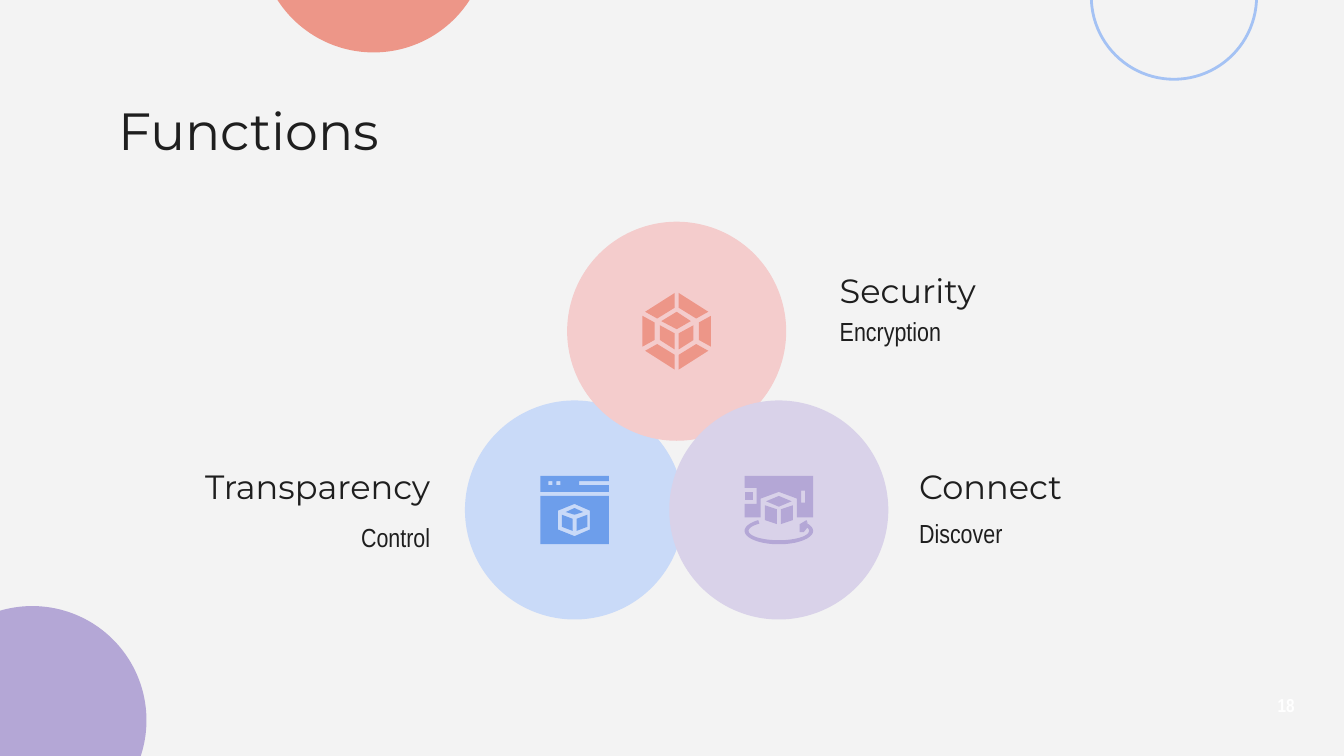
from math import cos, radians, sin

from pptx import Presentation
from pptx.dml.color import RGBColor as RGB
from pptx.enum.shapes import MSO_SHAPE as Shape
from pptx.enum.text import MSO_ANCHOR as Anchor, PP_ALIGN as Align
from pptx.util import Inches, Pt

PAPER = RGB(0xF3, 0xF3, 0xF3)
INK = RGB(0x1E, 0x1E, 0x1E)
WHITE = RGB(0xFF, 0xFF, 0xFF)
CORAL = RGB(0xED, 0x96, 0x88)
PURPLE = RGB(0xB4, 0xA7, 0xD6)
BLUE = RGB(0x6D, 0x9E, 0xEB)
SKY = RGB(0xA4, 0xC2, 0xF4)
PINK = RGB(0xF4, 0xCC, 0xCC)
LILAC = RGB(0xD9, 0xD2, 0xE9)
PALE = RGB(0xC9, 0xDA, 0xF8)
HEAD = "Montserrat"
BODY = "Arial Narrow"


def add_disc(slide, left, top, size, fill=None, line=None):
    disc = slide.shapes.add_shape(
        Shape.OVAL, Inches(left), Inches(top), Inches(size), Inches(size))
    disc.shadow.inherit = False
    if fill:
        disc.fill.solid()
        disc.fill.fore_color.rgb = fill
    else:
        disc.fill.background()
    if line:
        disc.line.color.rgb = line
        disc.line.width = Pt(1.5)
    else:
        disc.line.fill.background()


def set_text(shape, text, size, face, color=INK, align=Align.LEFT, bold=False):
    frame = shape.text_frame
    frame.word_wrap = True
    frame.vertical_anchor = Anchor.MIDDLE
    frame.margin_left = frame.margin_right = Inches(0.1)
    frame.margin_top = frame.margin_bottom = Inches(0.1)
    para = frame.paragraphs[0]
    para.text = text
    para.alignment = align
    para.font.size = Pt(size)
    para.font.name = face
    para.font.bold = bold
    para.font.color.rgb = color


def add_text(slide, left, top, width, height, *style):
    box = slide.shapes.add_textbox(
        Inches(left), Inches(top), Inches(width), Inches(height))
    set_text(box, *style)


def add_label(slide, left, top, head, body, drop, height, align=Align.LEFT):
    add_text(slide, left, top, 2.4, 0.34, head, 18, HEAD, INK, align)
    add_text(slide, left, top + drop, 2.4, height, body, 14, BODY, INK, align)


def add_path(group, fill, *loops):
    """Draw closed loops as one outline; inner loops become holes."""
    loops = [[(Inches(x), Inches(y)) for x, y in loop] for loop in loops]
    pen = group.shapes.build_freeform(*loops[0][0])
    pen.add_line_segments(loops[0][1:])
    for loop in loops[1:]:
        pen.move_to(*loop[0])
        pen.add_line_segments(loop[1:])
    form = pen.convert_to_shape()
    form.shadow.inherit = False
    form.fill.solid()
    form.fill.fore_color.rgb = fill
    form.line.fill.background()


def add_pair(group, fill, mid, loop):
    """Draw a loop and its mirror image about x = mid."""
    add_path(group, fill, loop)
    add_path(group, fill, [(2 * mid - x, y) for x, y in loop])


def rect(left, top, right, low):
    return [(left, top), (right, top), (right, low), (left, low)]


def arc(mid, y, wide, high, start, end, steps=40):
    turns = [radians(start + (end - start) * i / steps)
             for i in range(steps + 1)]
    return [(mid + wide * cos(t), y + high * sin(t)) for t in turns]


def draw_gem(slide):
    group, mid = slide.shapes.add_group_shape(), 5.035
    for loop in (
        [(5.05, 2.18), (5.05, 2.29), (5.18, 2.37), (5.27, 2.32)],
        [(5.16, 2.42), (5.05, 2.48), (5.05, 2.6), (5.16, 2.53)],
        [(5.29, 2.35), (5.2, 2.4), (5.2, 2.53), (5.29, 2.58)],
        [(5.18, 2.56), (5.05, 2.64), (5.05, 2.75), (5.27, 2.61)],
    ):
        add_pair(group, CORAL, mid, loop)
    add_path(group, CORAL,
             [(mid, 2.32), (4.92, 2.39), (mid, 2.45), (5.14, 2.39)])


def draw_orbit(slide):
    group, mid = slide.shapes.add_group_shape(), 5.795
    add_path(group, PURPLE, rect(5.54, 3.66, 5.6, 3.72))
    # Ring with an arrow tip
    tip = [(6.01, 3.89), (6, 3.87), (5.95, 3.9), (5.95, 3.96), (5.98, 3.96)]
    add_path(group, PURPLE, tip
             + arc(mid, 3.95, 0.225, 0.07, -20, 230)
             + arc(mid, 3.95, 0.255, 0.1, 233, -40))
    # Cube
    add_path(group, PURPLE,
             [(mid, 3.69), (5.7, 3.73), (mid, 3.77), (5.89, 3.73)])
    add_pair(group, PURPLE, mid,
             [(5.69, 3.76), (5.69, 3.87), (5.78, 3.9), (5.78, 3.79)])
    # Panel with notches
    add_path(group, PURPLE,
             [(5.54, 3.54), (5.54, 3.63), (5.63, 3.63), (5.63, 3.75),
              (5.54, 3.75), (5.54, 3.85), (5.66, 3.85), (5.66, 3.71),
              (mid, 3.66), (5.93, 3.71), (5.93, 3.85), (6.05, 3.85),
              (6.05, 3.54)],
             rect(5.96, 3.65, 5.99, 3.74))


def draw_window(slide):
    group, mid = slide.shapes.add_group_shape(), 4.275
    # Cube
    add_pair(group, BLUE, mid,
             [(4.18, 3.83), (4.18, 3.92), (4.26, 3.95), (4.26, 3.86)])
    add_path(group, BLUE,
             [(mid, 3.78), (4.21, 3.81), (mid, 3.83), (4.34, 3.81)])
    # Page and title bar
    add_path(group, BLUE, rect(4.02, 3.69, 4.53, 4.05),
             [(mid, 3.75), (4.39, 3.8), (4.39, 3.94),
              (mid, 3.99), (4.15, 3.94), (4.15, 3.8)])
    add_path(group, BLUE,
             [(4.02, 3.54), (4.02, 3.66), (4.53, 3.66), (4.53, 3.61),
              (4.31, 3.61), (4.31, 3.58), (4.53, 3.58), (4.53, 3.54)],
             *[rect(x, 3.58, x + 0.03, 3.61) for x in (4.08, 4.14)])


def main():
    deck = Presentation()
    # Widescreen, 16 to 9
    deck.slide_width, deck.slide_height = Inches(10), Inches(10 * 9 / 16)
    slide = deck.slides.add_slide(deck.slide_layouts[5])
    slide.background.fill.solid()
    slide.background.fill.fore_color.rgb = PAPER

    # Corner circles
    add_disc(slide, -0.61, 4.51, 1.7, PURPLE)
    add_disc(slide, 8.12, -0.64, 1.23, line=SKY)
    add_disc(slide, 1.93, -1.31, 1.7, CORAL)

    # Three overlapping circles
    for i, (top, fill) in enumerate(
            [(2.98, PALE), (1.65, PINK), (2.98, LILAC)]):
        add_disc(slide, 3.46 + 0.76 * i, top, 1.63, fill)

    # Title
    title = slide.shapes.title
    title.left, title.top = Inches(0.78), Inches(0.71)
    title.width, title.height = Inches(8.44), Inches(0.51)
    set_text(title, "Functions", 28, HEAD)

    # Labels
    add_label(slide, 0.9, 3.45, "Transparency", "Control", 0.26, 0.57,
              Align.RIGHT)
    add_label(slide, 6.74, 3.45, "Connect", "Discover", 0.26, 0.51)
    add_label(slide, 6.15, 1.99, "Security", "Encryption", 0.22, 0.51)

    # Icons
    draw_gem(slide)
    draw_orbit(slide)
    draw_window(slide)

    # Page number
    add_text(slide, 9.13, 5.05, 0.6, 0.4, "18", 10, BODY, WHITE,
             Align.RIGHT, True)
    deck.save("out.pptx")


if __name__ == "__main__":
    main()
